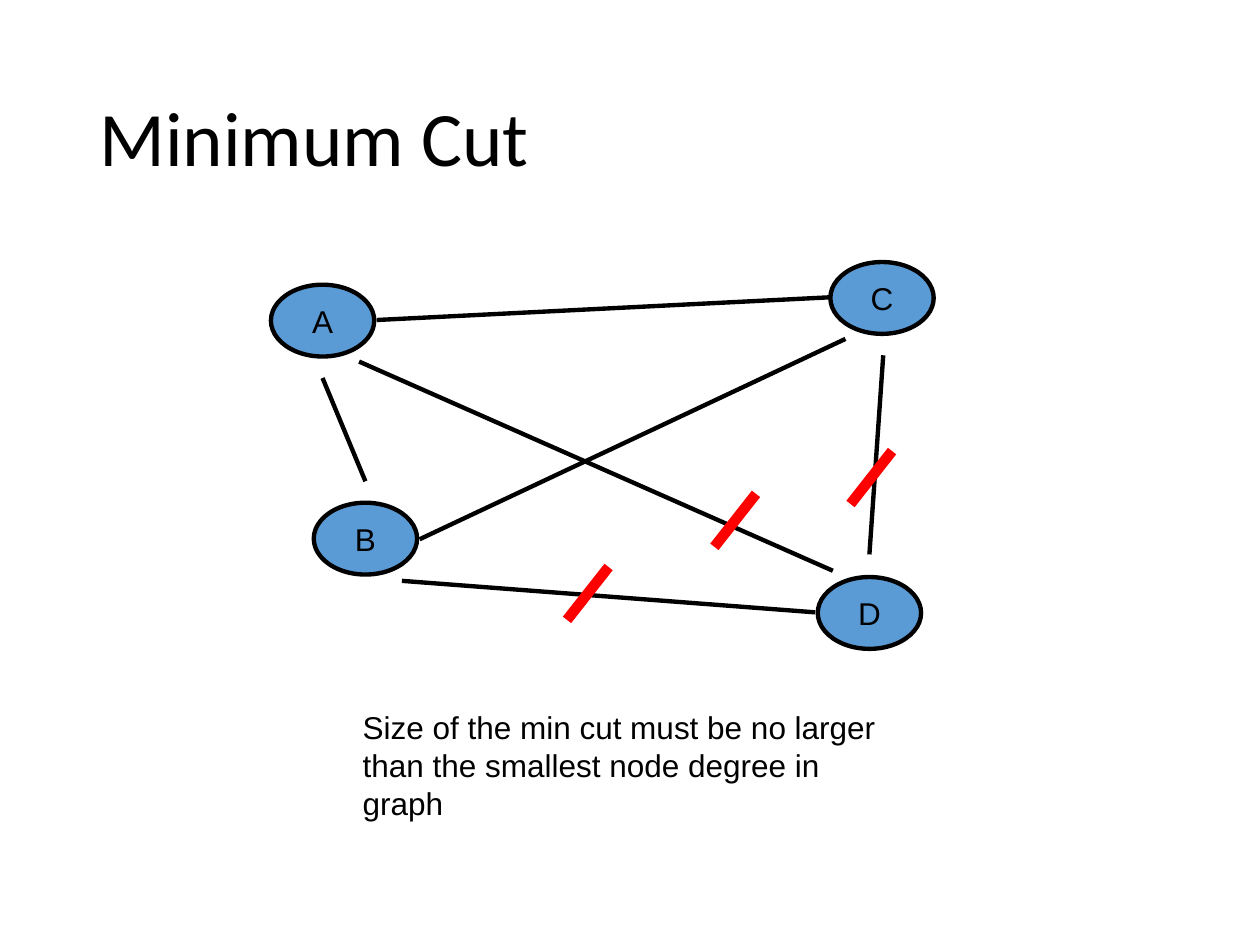
"""Build the Minimum Cut slide: a four-node graph with three cut edges."""
from pptx import Presentation
from pptx.dml.color import RGBColor
from pptx.enum.shapes import MSO_CONNECTOR, MSO_SHAPE
from pptx.enum.text import MSO_ANCHOR, PP_ALIGN
from pptx.oxml.ns import qn
from pptx.util import Inches, Pt

ELLIPSE = MSO_SHAPE.OVAL
STRAIGHT = MSO_CONNECTOR.STRAIGHT
MIDDLE = MSO_ANCHOR.MIDDLE
CENTER = PP_ALIGN.CENTER
COLORS = {"ink": "000000", "node": "5B9BD5", "cut": "FF0000"}
NODE_W, NODE_H = 0.82, 0.57
CUT_DX, CUT_DY = -0.33, 0.42


def add_line(start, end, color, width):
    ln = s.shapes.add_connector(STRAIGHT, *(Inches(v) for v in start + end))
    ln.line.color.rgb = RGBColor.from_string(COLORS[color])
    ln.line.width = Pt(width)
    ln._element.spPr.append(ln._element.makeelement(qn("a:effectLst"), {}))


def set_text(tf, text, font, size):
    tf.text = text
    for p in tf.paragraphs:
        for r in p.runs:
            r.font.name = font
            r.font.size = Pt(size)
            r.font.color.rgb = RGBColor.from_string(COLORS["ink"])


prs = Presentation()
prs.slide_width, prs.slide_height = Inches(10), Inches(7.5)
s = prs.slides.add_slide(prs.slide_layouts[6])

title = s.shapes.add_textbox(Inches(0.69), Inches(0.4), Inches(8.63), Inches(1.45))
tf = title.text_frame
tf.word_wrap = True
tf.vertical_anchor = MIDDLE
set_text(tf, "Minimum Cut", "Calibri", 44)
tf.paragraphs[0].line_spacing = 0.9

nodes = {"A": (2.15, 2.26), "B": (2.49, 3.99), "C": (6.59, 2.08), "D": (6.49, 4.58)}
for name, (x, y) in nodes.items():
    sp = s.shapes.add_shape(ELLIPSE, Inches(x), Inches(y), Inches(NODE_W), Inches(NODE_H))
    sp.shadow.inherit = False
    sp.fill.solid()
    sp.fill.fore_color.rgb = RGBColor.from_string(COLORS["node"])
    sp.line.color.rgb = RGBColor.from_string(COLORS["ink"])
    sp.line.width = Pt(2.5)
    tf = sp.text_frame
    tf.vertical_anchor = MIDDLE
    set_text(tf, name, "Arial", 18)
    tf.paragraphs[0].alignment = CENTER

edges = [
    ((2.99, 2.54), (6.58, 2.36)),
    ((2.9, 3.82), (2.56, 3)),
    ((3.33, 4.28), (6.71, 2.69)),
    ((6.9, 4.4), (7.01, 2.82)),
    ((6.47, 4.86), (3.19, 4.61)),
    ((6.61, 4.53), (2.85, 2.87)),
]
for start, end in edges:
    add_line(start, end, "ink", 2.5)

for x, y in [(4.83, 4.5), (6, 3.92), (7.08, 3.58)]:
    add_line((x, y), (x + CUT_DX, y + CUT_DY), "cut", 6)

note = s.shapes.add_textbox(Inches(2.78), Inches(5.57), Inches(4.53), Inches(0.7))
tf = note.text_frame
tf.word_wrap = False
set_text(
    tf,
    "Size of the min cut must be no larger\nthan the smallest node degree in graph",
    "Arial",
    18,
)

prs.save("out.pptx")
